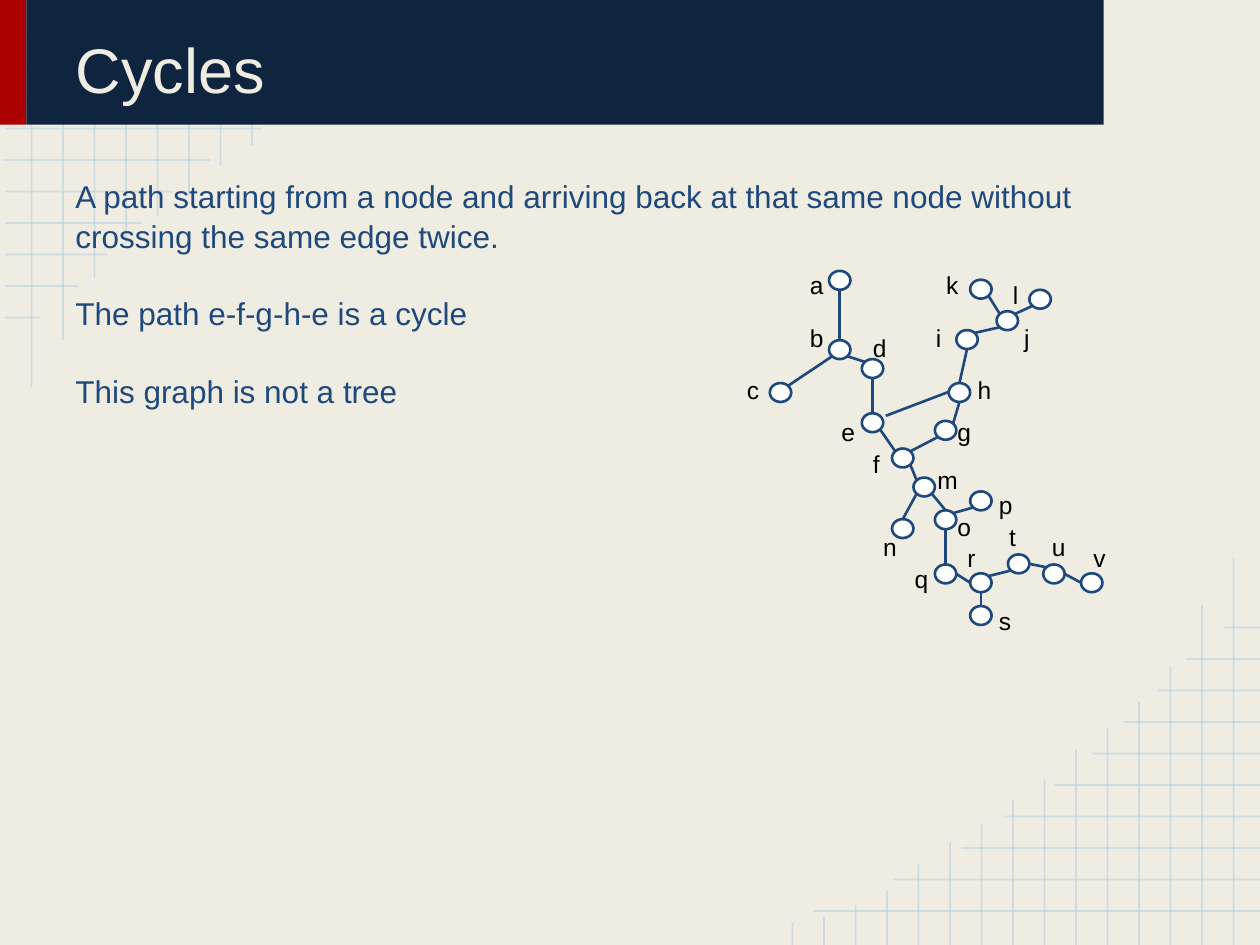
from lxml import etree
from pptx import Presentation, util as u
from pptx.dml.color import RGBColor
from pptx.enum import shapes, text
from pptx.oxml.ns import qn

PAPER, NAVY, RED, BLUE, GRID, NODE, BLACK = (
    "EFEDE2", "0F243E", "AB0101", "1F497D", "B7CCE4", "FDFFFF", "000000")


def paint(color_format, color):
    color_format.rgb = RGBColor.from_string(color)


def draw_line(parent, start, end, color, width, opacity=100):
    line = parent.shapes.add_connector(
        shapes.MSO_CONNECTOR.STRAIGHT, *(u.Inches(v) for v in (*start, *end)))
    line.line.width = u.Pt(width)
    line.line.fill.solid()
    paint(line.line.color, color)
    if opacity < 100:
        rgb = line.line._ln.find(".//" + qn("a:srgbClr"))
        etree.SubElement(rgb, qn("a:alpha"), val=str(opacity * 1000))
    etree.SubElement(line._element.spPr, qn("a:effectLst"))


prs = Presentation()
WIDTH, HEIGHT = 10, 7.5
prs.slide_width, prs.slide_height = u.Inches(WIDTH), u.Inches(HEIGHT)
slide = prs.slides.add_slide(prs.slide_layouts[5])
slide.background.fill.solid()
paint(slide.background.fill.fore_color, PAPER)

# Graph-paper corners: the lower right is the upper left turned half round
STEP, MARGIN = 0.25, 0.04
row_ends = [3.59, 2.95, 2.41, 2.07, 1.67, 1.37, 1.12, 0.85, 0.62, 0.32]
column_ends = [3.07, 2.7, 2.21, 1.93, 1.72, 1.55, 1.31, 1.15,
               0.96, 0.82, 0.64, 0.43, 0.32, 0.22, 0.18]
rules = [((MARGIN, 0.27 + i * STEP), (end, 0.27 + i * STEP))
         for i, end in enumerate(row_ends)]
rules += [((i * STEP, end), (i * STEP, 0)) for i, end in enumerate(column_ends, 1)]
turned = [[(WIDTH + MARGIN - x, HEIGHT - y) for x, y in rule] for rule in rules]
for corner in (rules, turned):
    paper = slide.shapes.add_group_shape()
    for start, end in corner:
        draw_line(paper, start, end, GRID, 1, 54)

# Title band
for left, width, color in ((0, 0.21, RED), (0.21, 8.55, NAVY)):
    band = slide.shapes.add_shape(
        shapes.MSO_SHAPE.RECTANGLE, u.Inches(left), 0, u.Inches(width), u.Inches(0.99))
    band.shadow.inherit = False
    band.fill.solid()
    paint(band.fill.fore_color, color)
    band.line.fill.background()

# Text: title, explanation and the letter beside each node
title = slide.shapes.title
title.element.getparent().append(title.element)  # in front of the band
explanation = slide.shapes.add_textbox(0, 0, 0, 0)
label_places = {
    "a": (6.33, 2.04), "b": (6.33, 2.46), "c": (5.83, 2.88), "d": (6.83, 2.54),
    "e": (6.58, 3.21), "f": (6.83, 3.46), "g": (7.5, 3.21), "h": (7.66, 2.88),
    "i": (7.33, 2.46), "j": (8.03, 2.46), "k": (7.41, 2.04), "l": (7.94, 2.12),
    "m": (7.34, 3.59), "n": (6.91, 4.12), "o": (7.5, 3.96), "p": (7.83, 3.79),
    "q": (7.16, 4.38), "r": (7.58, 4.21), "s": (7.83, 4.71), "t": (7.91, 4.04),
    "u": (8.25, 4.12), "v": (8.58, 4.21)}
statements = "\n".join((
    "A path starting from a node and arriving back at that same node without "
    "crossing the same edge twice.",
    "The path e-f-g-h-e is a cycle",
    "This graph is not a tree"))
writing = [(title, (0.5, 0.15, 8, 0.79), "Cycles", 36, PAPER),
           (explanation, (0.5, 1.29, 9, 5.54), statements, 18, BLUE)]
writing += [(slide.shapes.add_textbox(0, 0, 0, 0), (x, y, 0.38, 0.38), letter, 14, BLACK)
            for letter, (x, y) in label_places.items()]
for box, place, words, size, color in writing:
    box.left, box.top, box.width, box.height = (u.Inches(v) for v in place)
    frame = box.text_frame
    frame.text = words
    frame.word_wrap = True
    frame.auto_size = text.MSO_AUTO_SIZE.NONE
    frame.vertical_anchor = text.MSO_ANCHOR.BOTTOM if box is title else text.MSO_ANCHOR.TOP
    frame.margin_left = frame.margin_right = u.Inches(0.1)
    frame.margin_top = frame.margin_bottom = u.Inches(0.1)
    for paragraph in frame.paragraphs:
        paragraph.alignment = text.PP_ALIGN.LEFT
        for run in paragraph.runs:
            run.font.name, run.font.size = "Arial", u.Pt(size)
            paint(run.font.color, color)
for i, paragraph in enumerate(explanation.text_frame.paragraphs):
    paragraph.line_spacing = 1.05
    if i:
        paragraph.space_before = u.Pt(21.7)

# Graph nodes
NODE_W, NODE_H = 0.17, 0.15
node_places = {
    "a": (6.58, 2.15), "b": (6.58, 2.7), "c": (6.11, 3.04), "d": (6.84, 2.85),
    "e": (6.84, 3.28), "f": (7.08, 3.56), "g": (7.42, 3.34), "h": (7.53, 3.04),
    "i": (7.59, 2.62), "j": (7.91, 2.47), "k": (7.7, 2.22), "l": (8.17, 2.3),
    "m": (7.25, 3.79), "n": (7.08, 4.12), "o": (7.42, 4.05), "p": (7.7, 3.9),
    "q": (7.42, 4.48), "r": (7.7, 4.55), "s": (7.7, 4.81), "t": (8, 4.4),
    "u": (8.28, 4.48), "v": (8.58, 4.55)}
graph = slide.shapes.add_group_shape()
for x, y in node_places.values():
    node = graph.shapes.add_shape(
        shapes.MSO_SHAPE.OVAL, *(u.Inches(v) for v in (x, y, NODE_W, NODE_H)))
    node.shadow.inherit = False
    node.fill.solid()
    paint(node.fill.fore_color, NODE)
    paint(node.line.color, BLUE)
    node.line.width = u.Pt(1.5)

# Graph edges: node and compass point at each end, as shares of the node's size
compass = {"N": (0.5, 0), "S": (0.5, 1), "W": (0, 0.5), "E": (1, 0.5),
           "NW": (0.15, 0.15), "NE": (0.85, 0.15), "SW": (0.15, 0.85), "SE": (0.85, 0.85)}
edges = """aS-bN cNE-bSW bSE-dNW dS-eN eSE-fNW fNE-gSW gNE-hS hN-iS iNE-jSW kSE-jNW
           jNE-lSW fSE-mNW mSW-nN mSE-oN oNE-pSW oS-qN qE-rW rNE-tSW rS-sN tE-uNW uE-vW"""
for edge in edges.split():
    ends = []
    for end in edge.split("-"):
        (x, y), (across, down) = node_places[end[0]], compass[end[1:]]
        ends.append((x + across * NODE_W, y + down * NODE_H))
    draw_line(graph, *ends, BLUE, 1.5)

# The edge that closes the cycle
draw_line(slide, (7.03, 3.3), (7.53, 3.11), BLUE, 1.5)

prs.save("out.pptx")
